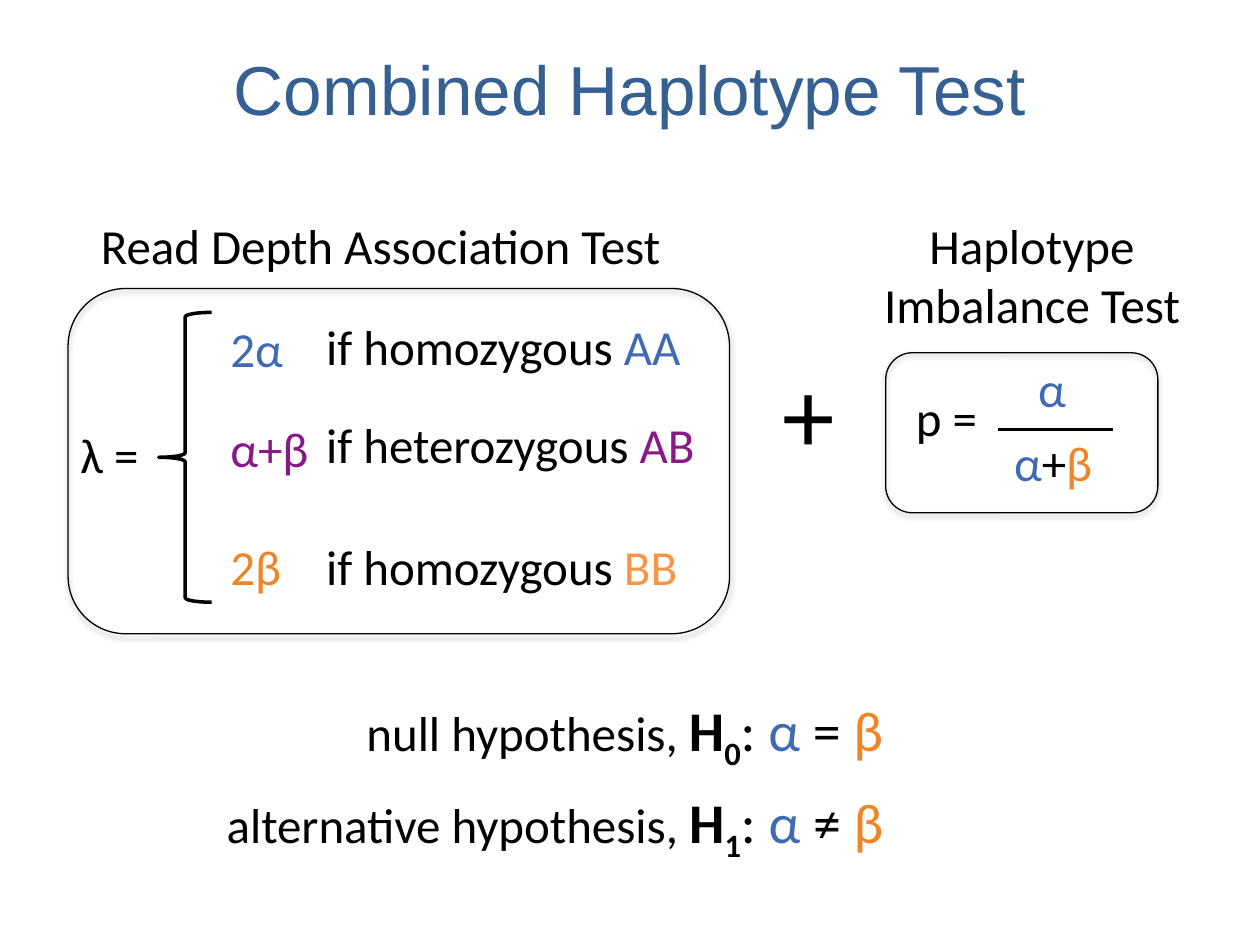
from lxml import etree
from pptx import Presentation
from pptx.dml.color import RGBColor
from pptx.enum.shapes import MSO_CONNECTOR, MSO_SHAPE
from pptx.enum.text import MSO_ANCHOR, MSO_AUTO_SIZE, PP_ALIGN
from pptx.oxml import parse_xml
from pptx.oxml.ns import nsdecls, qn
from pptx.util import Inches, Pt

BLACK, TITLE_BLUE = "000000", "376092"
ALPHA, BETA, MIXED, LIGHT_BETA = "416AB5", "EF8525", "881A86", "F79646"
LINE_HEIGHT = 0.57


def color(hex_string):
    return RGBColor.from_string(hex_string)


class SlideBuilder:
    """Holds the text style and the slide being built."""

    base = {"name": "Calibri", "size": Pt(28), "bold": False}

    def __init__(self, slide):
        self.slide = slide

    def add_runs(self, paragraph, runs):
        """Each run is (text, hex colour) or (text, hex colour, format values)."""
        for text, hex_string, *extra in runs:
            run = paragraph.add_run()
            run.text = text
            values = self.base | (extra[0] if extra else {})
            baseline = values.pop("baseline", None)
            for attribute, value in values.items():
                setattr(run.font, attribute, value)
            run.font.color.rgb = color(hex_string)
            if baseline:
                run._r.get_or_add_rPr().set("baseline", str(baseline))

    def title(self, text, left, top, width, height):
        title = self.slide.shapes.title
        title.left, title.top = Inches(left), Inches(top)
        title.width, title.height = Inches(width), Inches(height)
        title.text_frame.vertical_anchor = MSO_ANCHOR.MIDDLE
        paragraph = title.text_frame.paragraphs[0]
        paragraph.alignment = PP_ALIGN.CENTER
        self.add_runs(paragraph, [(text, TITLE_BLUE, {"name": "Arial", "size": Pt(39.6)})])

    def text(self, left, top, width, *lines, height=LINE_HEIGHT, align=PP_ALIGN.LEFT):
        box = self.slide.shapes.add_textbox(
            Inches(left), Inches(top), Inches(width), Inches(height))
        frame = box.text_frame
        frame.word_wrap = False
        frame.auto_size = MSO_AUTO_SIZE.SHAPE_TO_FIT_TEXT
        for index, runs in enumerate(lines):
            paragraph = frame.add_paragraph() if index else frame.paragraphs[0]
            paragraph.alignment = align
            self.add_runs(paragraph, runs)

    def outline(self, kind, left, top, width, height, weight):
        shape = self.slide.shapes.add_shape(
            kind, Inches(left), Inches(top), Inches(width), Inches(height))
        shape.fill.background()
        shape.line.color.rgb = color(BLACK)
        shape.line.width = Pt(weight)
        shape.shadow.inherit = False
        return shape

    def panel(self, left, top, width, height):
        panel = self.outline(MSO_SHAPE.ROUNDED_RECTANGLE, left, top, width, height, 0.75)
        panel._element.spPr.find(qn("a:effectLst")).append(parse_xml(
            f'<a:outerShdw {nsdecls("a")} blurRad="{Pt(3.1)}" dist="{Pt(1.8)}" '
            'dir="5400000" rotWithShape="0"><a:srgbClr val="000000">'
            '<a:alpha val="35000"/></a:srgbClr></a:outerShdw>'))

    def rule(self, left, right, y):
        line = self.slide.shapes.add_connector(
            MSO_CONNECTOR.STRAIGHT, Inches(right), Inches(y), Inches(left), Inches(y))
        line.line.color.rgb = color(BLACK)
        line.line.width = Pt(2)
        etree.SubElement(line._element.spPr, qn("a:effectLst"))

    def hypothesis(self, left, top, width, label, index, relation):
        large = {"size": Pt(32)}
        bold = large | {"bold": True}
        self.text(left, top, width, [
            (f"{label} hypothesis, ", BLACK),
            ("H", BLACK, bold),
            (index, BLACK, bold | {"baseline": -25000}),
            (": ", BLACK, large),
            ("α ", ALPHA, large),
            (f"{relation} ", BLACK, large),
            ("β", BETA, large),
        ], height=0.64)


def main():
    presentation = Presentation()
    presentation.slide_width, presentation.slide_height = Inches(10), Inches(7.5)
    builder = SlideBuilder(presentation.slides.add_slide(presentation.slide_layouts[5]))
    builder.title("Combined Haplotype Test", 0.5, 0.3, 9, 0.8)

    # Hypotheses
    builder.hypothesis(2.81, 5.47, 4.37, "null", "0", "=")
    builder.hypothesis(1.7, 6.2, 5.51, "alternative", "1", "≠")

    # Haplotype imbalance: p as a fraction
    builder.text(8.14, 2.8, 0.42, [("α", ALPHA)])
    builder.text(7.95, 3.38, 0.83, [("α", ALPHA), ("+", BLACK), ("β", BETA)])
    builder.text(7.17, 3.03, 0.69, [("p =", BLACK)])
    builder.rule(7.92, 8.83, 3.41)

    # Read depth: lambda for each genotype
    builder.text(0.54, 3.32, 0.68, [("λ =", BLACK)])
    builder.outline(MSO_SHAPE.LEFT_BRACE, 1.26, 2.48, 0.42, 2.3, 2)
    genotypes = [
        ("2α", ALPHA, 2.48, 0.62, "homozygous", "AA", ALPHA, 2.46, 3.06),
        ("α+β", MIXED, 3.27, 0.83, "heterozygous", "AB", MIXED, 3.24, 3.19),
        ("2β", BETA, 4.21, 0.61, "homozygous", "BB", LIGHT_BETA, 4.21, 3.03),
    ]
    for (rate, rate_color, rate_top, rate_width,
         zygosity, alleles, allele_color, case_top, case_width) in genotypes:
        builder.text(1.73, rate_top, rate_width, [(rate, rate_color)])
        builder.text(2.49, case_top, case_width,
                     [(f"if {zygosity} ", BLACK), (alleles, allele_color)])

    # Panels, their headings and the plus between them
    builder.panel(0.54, 2.29, 5.25, 2.74)
    builder.panel(7.03, 2.8, 2.16, 1.27)
    builder.text(0.65, 1.66, 4.74, [("Read Depth Association Test", BLACK)],
                 align=PP_ALIGN.CENTER)
    builder.text(6.88, 1.66, 2.62, [("Haplotype", BLACK)], [("Imbalance Test", BLACK)],
                 height=1.04, align=PP_ALIGN.CENTER)
    builder.text(6.11, 2.72, 0.62, [("+", BLACK, {"size": Pt(60)})],
                 height=1.11, align=PP_ALIGN.CENTER)

    presentation.save("out.pptx")


if __name__ == "__main__":
    main()
